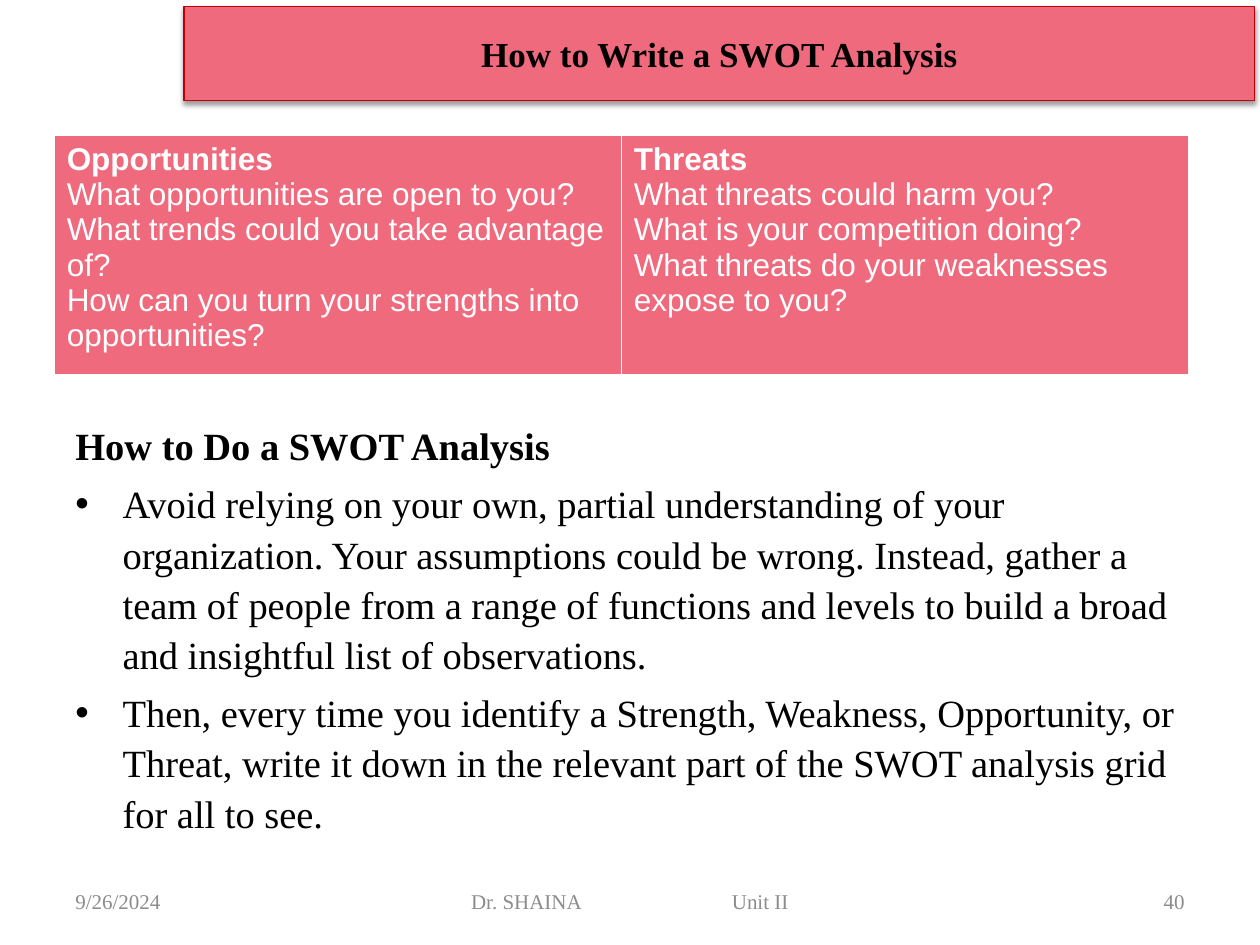
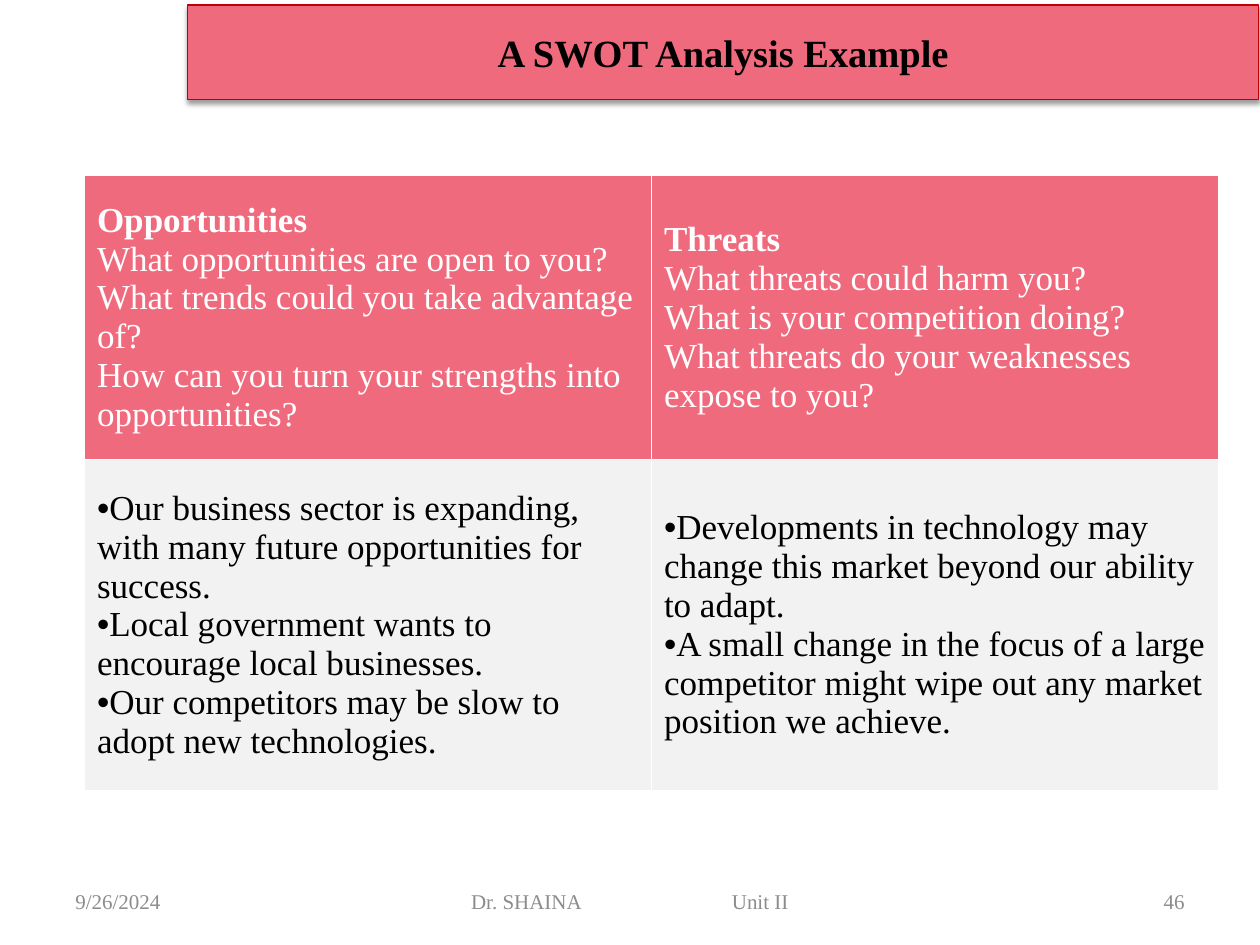
"""Build two SWOT analysis slides with a shared title band, table style and footer."""
from dataclasses import dataclass

from lxml.etree import SubElement
from pptx import Presentation
from pptx.dml.color import RGBColor
from pptx.enum.shapes import MSO_SHAPE as Preset
from pptx.enum.text import MSO_ANCHOR as Anchor, PP_ALIGN as Align
from pptx.oxml import parse_xml
from pptx.oxml.ns import nsdecls, qn
from pptx.util import Emu, Inches, Pt

ROSE = RGBColor(0xF0, 0x6A, 0x7D)
CRIMSON = RGBColor(0xC0, 0x00, 0x00)
PALE = RGBColor(0xF2, 0xF2, 0xF2)
GREY = RGBColor(0x8C, 0x8C, 0x8C)
BLACK = RGBColor(0, 0, 0)
WHITE = RGBColor(0xFF, 0xFF, 0xFF)
SERIF, SANS = "Times New Roman", "Arial"

SLIDE_WIDTH, SLIDE_HEIGHT = Inches(10), Inches(7.5)
COLUMN, ROW = SLIDE_WIDTH / 100, SLIDE_HEIGHT / 75
HANGING = 3.75
UNIT_TAB = 20.7


@dataclass(frozen=True)
class Box:
    """A rectangle in grid columns and rows."""
    left: float
    top: float
    width: float
    height: float

    def lengths(self) -> tuple[Emu, ...]:
        """Return the rectangle as slide lengths."""
        return (Emu(round(self.left * COLUMN)), Emu(round(self.top * ROW)),
                Emu(round(self.width * COLUMN)), Emu(round(self.height * ROW)))


@dataclass(frozen=True)
class TextStyle:
    """Typeface, size, colour and weight of a paragraph."""
    size: int
    color: RGBColor
    name: str = SERIF
    bold: bool | None = None


@dataclass(frozen=True)
class Question:
    """A table heading with the questions below it."""
    heading: str
    lines: tuple[str, ...]


@dataclass(frozen=True)
class SwotTable:
    """Question row and optional answer row, with their style."""
    box: Box
    row_heights: tuple[float, ...]
    style: TextStyle
    anchor: Anchor
    answers: tuple[tuple[str, ...], ...] = ()


QUESTIONS = (
    Question("Opportunities", (
        "What opportunities are open to you?",
        "What trends could you take advantage of?",
        "How can you turn your strengths into opportunities?")),
    Question("Threats", (
        "What threats could harm you?",
        "What is your competition doing?",
        "What threats do your weaknesses expose to you?")),
)
ANSWERS = (
    ("Our business sector is expanding, with many future opportunities for success.",
     "Local government wants to encourage local businesses.",
     "Our competitors may be slow to adopt new technologies."),
    ("Developments in technology may change this market beyond our ability to adapt.",
     "A small change in the focus of a large competitor might wipe out any market "
     "position we achieve."),
)
ADVICE = (
    "Avoid relying on your own, partial understanding of your organization. Your "
    "assumptions could be wrong. Instead, gather a team of people from a range of "
    "functions and levels to build a broad and insightful list of observations.",
    "Then, every time you identify a Strength, Weakness, Opportunity, or Threat, write "
    "it down in the relevant part of the SWOT analysis grid for all to see.",
)


def set_font(paragraph, style: TextStyle) -> None:
    """Apply a text style to a whole paragraph."""
    font = paragraph.font
    font.name, font.size, font.bold = style.name, Pt(style.size), style.bold
    font.color.rgb = style.color


def add_bullet(paragraph, hanging: float = 0) -> None:
    """Give a paragraph a bullet with a hanging indent in columns."""
    properties = paragraph._p.get_or_add_pPr()
    indent = round(hanging * COLUMN)
    properties.set("marL", str(indent))
    properties.set("indent", str(-indent))
    SubElement(properties, qn("a:buFont"), typeface=SANS)
    SubElement(properties, qn("a:buChar"), char="•")


def add_paragraph(frame, index: int):
    """Return the first paragraph of a frame or a new one."""
    return frame.add_paragraph() if index else frame.paragraphs[0]


def add_text_box(slide, box: Box, anchor: Anchor = Anchor.TOP):
    """Add a wrapping text box and return its frame."""
    frame = slide.shapes.add_textbox(*box.lengths()).text_frame
    frame.word_wrap = True
    frame.vertical_anchor = anchor
    return frame


def draw_title(slide, text: str, box: Box, size: int) -> None:
    """Draw the shadowed title band."""
    band = slide.shapes.add_shape(Preset.RECTANGLE, *box.lengths())
    band.fill.solid()
    band.fill.fore_color.rgb = ROSE
    band.line.color.rgb = CRIMSON
    band.line.width = Pt(0.75)
    band.shadow.inherit = False
    effects = band._element.spPr.find(qn("a:effectLst"))
    effects.append(parse_xml(
        f'<a:outerShdw {nsdecls("a")} blurRad="{Pt(3.1)}" dist="{Pt(1.6)}" dir="5400000" '
        'rotWithShape="0"><a:srgbClr val="000000"><a:alpha val="38000"/></a:srgbClr>'
        '</a:outerShdw>'))
    frame = band.text_frame
    frame.word_wrap = True
    frame.vertical_anchor = Anchor.MIDDLE
    paragraph = frame.paragraphs[0]
    paragraph.text, paragraph.alignment = text, Align.CENTER
    set_font(paragraph, TextStyle(size, BLACK, bold=True))


def draw_footer(slide, number: str) -> None:
    """Draw the date, author with unit, and slide number."""
    parts = (
        ("9/26/2024", Box(5, 69.5, 23.3, 4), Align.LEFT),
        ("Dr. SHAINA\tUnit II", Box(36.4, 69.5, 29.5, 4), Align.LEFT),
        (number, Box(71.7, 69.5, 23.3, 4), Align.RIGHT),
    )
    for text, box, alignment in parts:
        paragraph = add_text_box(slide, box, Anchor.MIDDLE).paragraphs[0]
        paragraph.text, paragraph.alignment = text, alignment
        if "\t" in text:
            tabs = SubElement(paragraph._p.get_or_add_pPr(), qn("a:tabLst"))
            SubElement(tabs, qn("a:tab"), pos=str(round(UNIT_TAB * COLUMN)), algn="l")
        set_font(paragraph, TextStyle(12, GREY))


def style_cell(cell, fill: RGBColor, anchor: Anchor) -> None:
    """Set the fill, anchor and white borders of a cell."""
    cell.vertical_anchor = anchor
    properties = cell._tc.get_or_add_tcPr()
    for side in ("lnL", "lnR", "lnT", "lnB"):
        properties.append(parse_xml(
            f'<a:{side} {nsdecls("a")} w="{Pt(0.6)}"><a:solidFill>'
            f'<a:srgbClr val="{WHITE}"/></a:solidFill></a:{side}>'))
    cell.fill.solid()
    cell.fill.fore_color.rgb = fill


def write_question(cell, question: Question, style: TextStyle) -> None:
    """Write a bold heading and its questions as one paragraph."""
    paragraph = cell.text_frame.paragraphs[0]
    heading = paragraph.add_run()
    heading.text, heading.font.bold = question.heading, True
    for line in question.lines:
        paragraph.add_line_break()
        paragraph.add_run().text = line
    set_font(paragraph, style)
    for run in paragraph.runs:
        run.font.size, run.font.name = Pt(style.size), style.name


def write_answers(cell, answers: tuple[str, ...], style: TextStyle) -> None:
    """Write bulleted answers."""
    for index, answer in enumerate(answers):
        paragraph = add_paragraph(cell.text_frame, index)
        paragraph.text = answer
        add_bullet(paragraph)
        set_font(paragraph, style)


def draw_table(slide, swot: SwotTable) -> None:
    """Draw the question row and any answer row."""
    table = slide.shapes.add_table(
        len(swot.row_heights), len(QUESTIONS), *swot.box.lengths()).table
    table.first_row = table.horz_banding = False
    for row, height in zip(table.rows, swot.row_heights):
        row.height = Emu(round(height * ROW))
    for index, question in enumerate(QUESTIONS):
        cell = table.cell(0, index)
        style_cell(cell, ROSE, swot.anchor)
        write_question(cell, question, swot.style)
    for index, answers in enumerate(swot.answers):
        cell = table.cell(1, index)
        style_cell(cell, PALE, swot.anchor)
        write_answers(cell, answers, TextStyle(swot.style.size, BLACK))


def draw_advice(slide) -> None:
    """Draw the heading and bulleted advice."""
    frame = add_text_box(slide, Box(5, 32.7, 90, 34.3))
    for index, text in enumerate(("How to Do a SWOT Analysis", *ADVICE)):
        paragraph = add_paragraph(frame, index)
        paragraph.text = text
        paragraph.line_spacing = 1.09
        if index:
            paragraph.space_before = Pt(4.4)
            add_bullet(paragraph, HANGING)
        set_font(paragraph, TextStyle(22, BLACK, bold=index == 0))


def main() -> None:
    """Build and save the presentation."""
    presentation = Presentation()
    presentation.slide_width, presentation.slide_height = SLIDE_WIDTH, SLIDE_HEIGHT
    blank = presentation.slide_layouts[6]

    writing = presentation.slides.add_slide(blank)
    draw_title(writing, "How to Write a SWOT Analysis", Box(14.6, 0.5, 85, 7.5), 20)
    draw_advice(writing)
    draw_table(writing, SwotTable(Box(4.3, 10.75, 90, 17.7), (17.7,),
                                  TextStyle(18, WHITE, SANS), Anchor.TOP))
    draw_footer(writing, "40")

    example = presentation.slides.add_slide(blank)
    draw_title(example, "A SWOT Analysis Example", Box(14.9, 0.4, 85, 7.5), 22)
    draw_table(example, SwotTable(Box(6.7, 13.9, 90, 48.8), (22.6, 26.2),
                                  TextStyle(20, WHITE), Anchor.MIDDLE, ANSWERS))
    draw_footer(example, "46")

    presentation.save("out.pptx")


if __name__ == "__main__":
    main()
